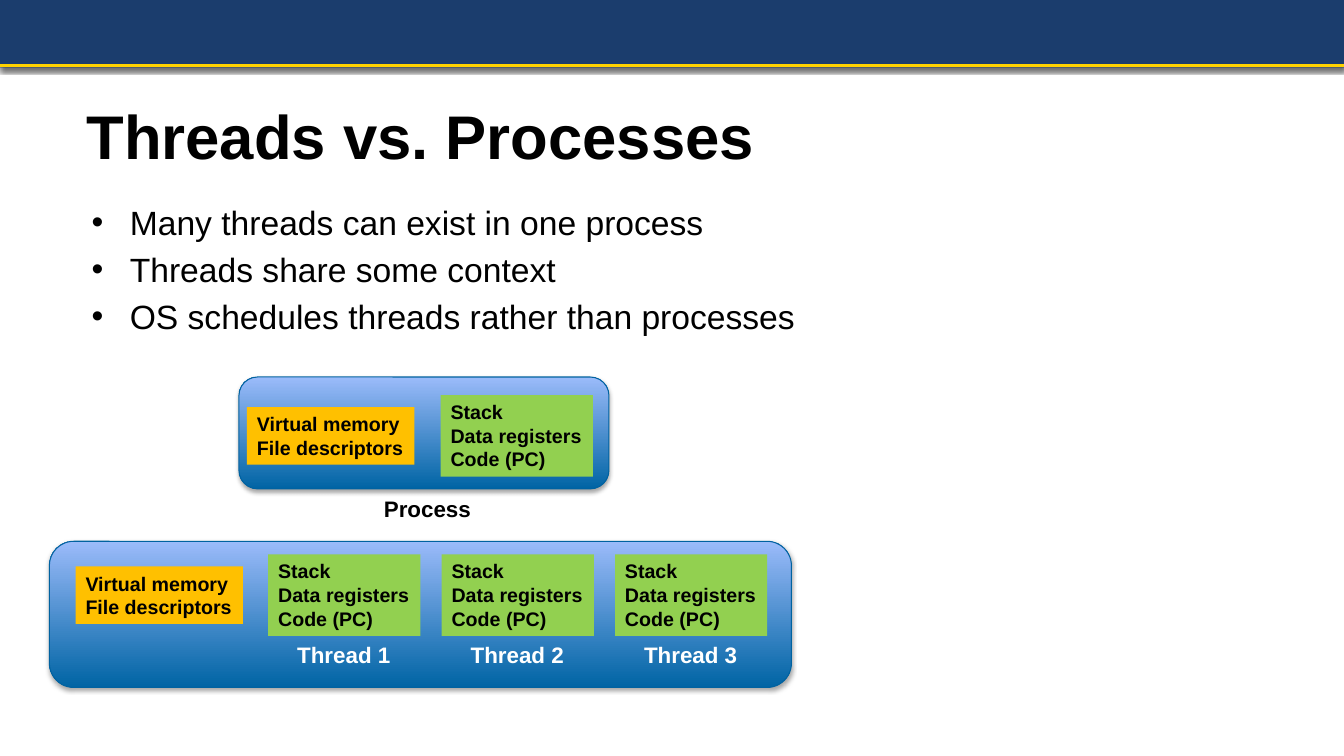
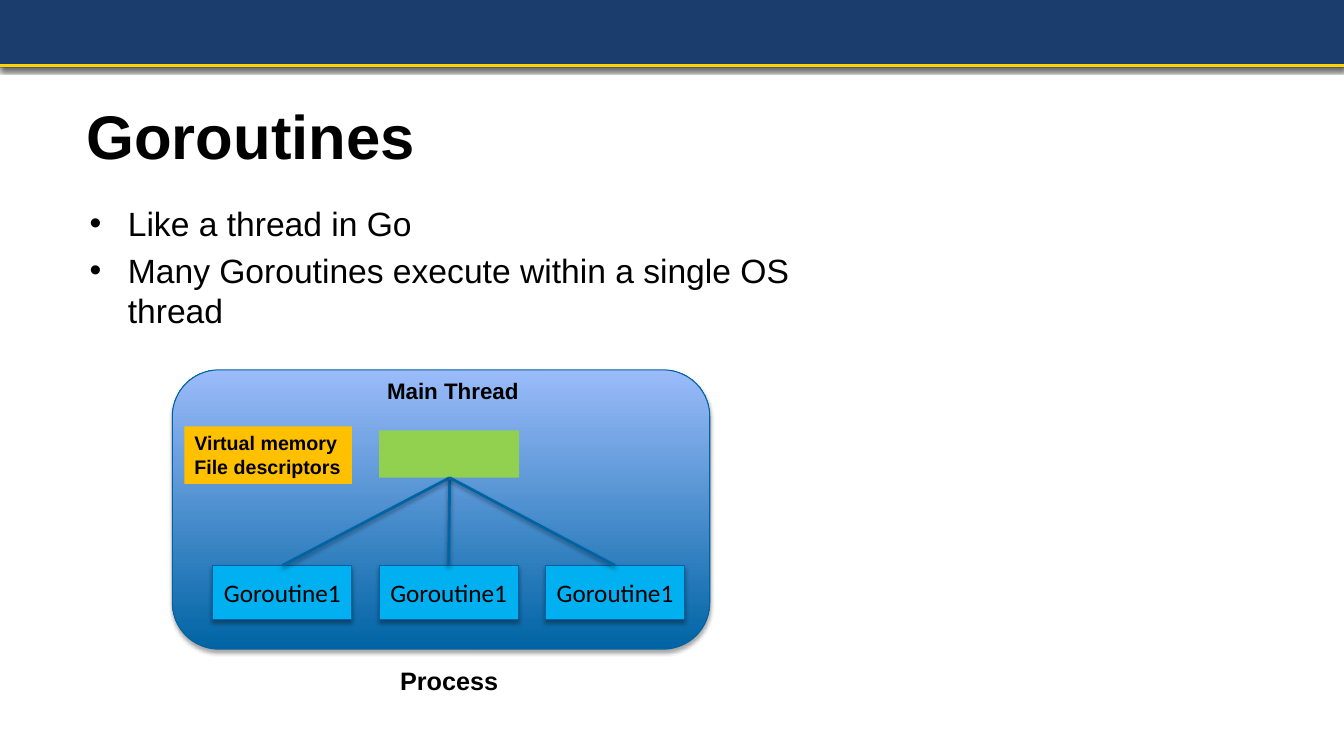
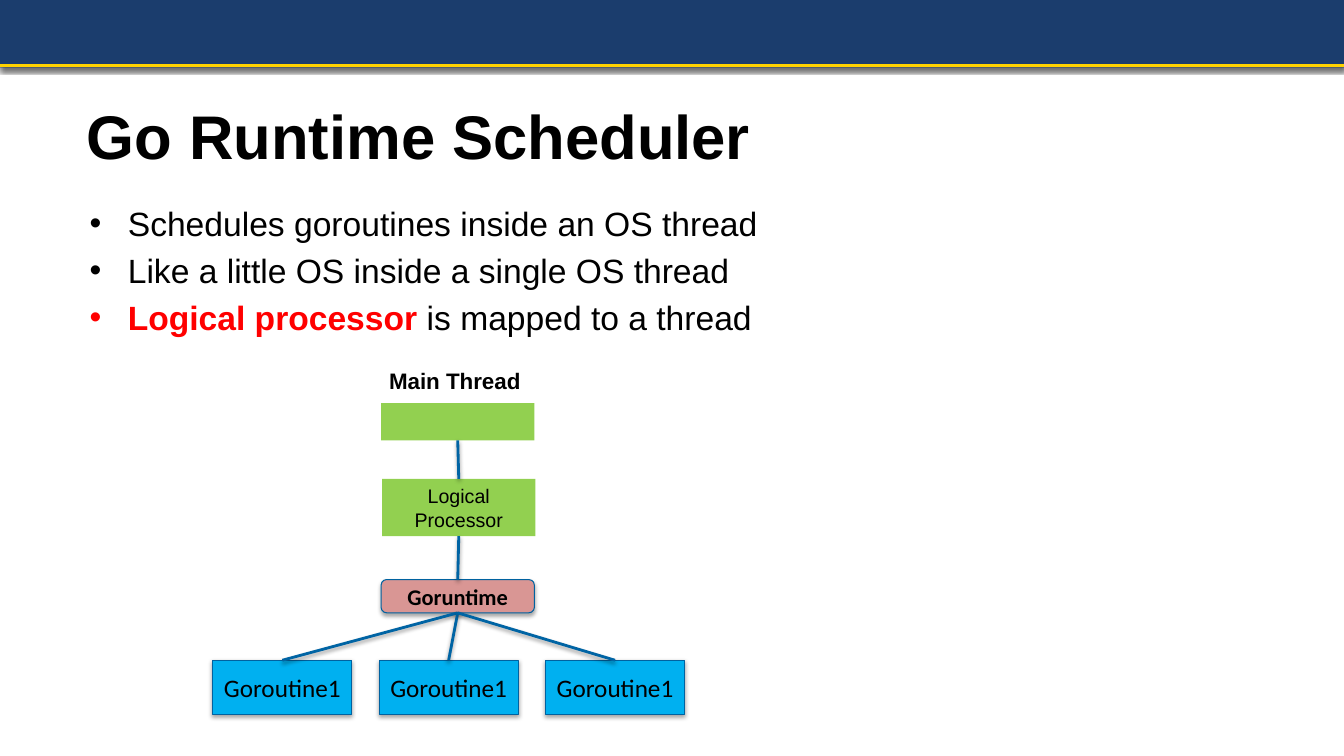
from collections import namedtuple

from lxml.etree import SubElement
from pptx import Presentation
from pptx.dml.color import RGBColor
from pptx.enum.shapes import MSO_CONNECTOR, MSO_SHAPE
from pptx.enum.text import MSO_ANCHOR, PP_ALIGN
from pptx.oxml.ns import qn
from pptx.util import Inches, Pt

# Colours
BLACK = RGBColor(0x00, 0x00, 0x00)
WHITE = RGBColor(0xFF, 0xFF, 0xFF)
RED = RGBColor(0xFF, 0x00, 0x00)
NAVY = RGBColor(0x1B, 0x3D, 0x6D)
GOLD = RGBColor(0xFF, 0xD2, 0x00)
LIGHT_BLUE = RGBColor(0x9B, 0xBB, 0xFA)
DEEP_BLUE = RGBColor(0x00, 0x64, 0xA4)
OUTLINE = RGBColor(0x00, 0x62, 0xA0)
CYAN = RGBColor(0x00, 0xB0, 0xF0)
AMBER = RGBColor(0xFF, 0xC0, 0x00)
GREEN = RGBColor(0x92, 0xD0, 0x50)
PINK = RGBColor(0xD9, 0x96, 0x94)

# Text styles
Style = namedtuple("Style", "size font bold color", defaults=("Arial", False, BLACK))
TITLE = Style(44, bold=True)
BODY = Style(24)
EMPHASIS = Style(24, bold=True, color=RED)
CONTEXT = Style(14, bold=True)
PROCESSOR = Style(14)
LABEL = Style(16, bold=True)
LARGE_LABEL = Style(18, bold=True)
THREAD_LABEL = Style(16, bold=True, color=WHITE)
GOROUTINE = Style(18, "Calibri")
RUNTIME = Style(16, "Calibri", True)

SHARED_CONTEXT = ["Virtual memory", "File descriptors"]
THREAD_CONTEXT = ["Stack", "Data registers", "Code (PC)"]
SLIDE_WIDTH = 13.33


# Text and effects
def add_run(paragraph, text, style):
    run = paragraph.add_run()
    run.text = text
    run.font.size = Pt(style.size)
    run.font.name = style.font
    run.font.bold = style.bold
    run.font.color.rgb = style.color


def write_lines(frame, lines, style, align=PP_ALIGN.LEFT):
    for index, line in enumerate(lines):
        paragraph = frame.paragraphs[0] if index == 0 else frame.add_paragraph()
        paragraph.alignment = align
        add_run(paragraph, line, style)


def add_shadow(properties, opacity, distance):
    effects = properties.find(qn("a:effectLst"))
    if effects is None:
        effects = SubElement(properties, qn("a:effectLst"))
    shadow = SubElement(effects, qn("a:outerShdw"), blurRad=str(Pt(3.1)),
                        dist=str(Pt(distance)), dir="5400000", rotWithShape="0")
    color = SubElement(shadow, qn("a:srgbClr"), val="000000")
    SubElement(color, qn("a:alpha"), val=str(opacity * 1000))


# Elements
def add_label(slide, left, top, width, height, text, style):
    box = slide.shapes.add_textbox(Inches(left), Inches(top), Inches(width), Inches(height))
    box.text_frame.word_wrap = False
    write_lines(box.text_frame, [text], style)
    return box


def add_box(slide, left, top, width, height, fill=None, kind=MSO_SHAPE.RECTANGLE,
            outlined=False):
    shape = slide.shapes.add_shape(kind, Inches(left), Inches(top),
                                   Inches(width), Inches(height))
    shape.shadow.inherit = False
    if fill is not None:
        shape.fill.solid()
        shape.fill.fore_color.rgb = fill
    if outlined:
        shape.line.color.rgb = OUTLINE
        shape.line.width = Pt(0.75)
        add_shadow(shape._element.spPr, 35, 1.8)
    else:
        shape.line.fill.background()
    return shape


def add_process(slide, left, top, width, height):
    shape = add_box(slide, left, top, width, height,
                    kind=MSO_SHAPE.ROUNDED_RECTANGLE, outlined=True)
    shape.fill.gradient()
    shape.fill.gradient_angle = 90
    for stop, color in zip(shape.fill.gradient_stops, (DEEP_BLUE, LIGHT_BLUE)):
        stop.color.rgb = color


def add_context(slide, left, top, width, height, fill, lines):
    frame = add_box(slide, left, top, width, height, fill).text_frame
    frame.word_wrap = False
    frame.vertical_anchor = MSO_ANCHOR.TOP
    write_lines(frame, lines, CONTEXT)


def add_shared_context(slide, left, top):
    add_context(slide, left, top, 1.66, 0.57, AMBER, SHARED_CONTEXT)


def add_thread_context(slide, left, top):
    add_context(slide, left, top, 1.51, 0.81, GREEN, THREAD_CONTEXT)


def add_centered(shape, text, style):
    shape.text_frame.word_wrap = True
    shape.text_frame.vertical_anchor = MSO_ANCHOR.MIDDLE
    write_lines(shape.text_frame, [text], style, PP_ALIGN.CENTER)


def add_line(slide, start, end, color=DEEP_BLUE, width=2, shadowed=True):
    line = slide.shapes.add_connector(MSO_CONNECTOR.STRAIGHT,
                                      *[Inches(value) for value in (*start, *end)])
    line.line.color.rgb = color
    line.line.width = Pt(width)
    if shadowed:
        add_shadow(line._element.spPr, 38, 1.6)
    else:
        SubElement(line._element.spPr, qn("a:effectLst"))


def add_goroutines(slide, top, parent):
    lefts = [2.11 + 1.65 * index for index in range(3)]
    for left in lefts:
        box = add_box(slide, left, top, 1.38, 0.54, CYAN, outlined=True)
        add_centered(box, "Goroutine1", GOROUTINE)
    for left in lefts:
        add_line(slide, parent, (left + 0.69, top))


def add_bullets(slide, left, top, width, height, items):
    box = slide.shapes.add_textbox(Inches(left), Inches(top), Inches(width), Inches(height))
    frame = box.text_frame
    frame.word_wrap = True
    for index, runs in enumerate(items):
        paragraph = frame.paragraphs[0] if index == 0 else frame.add_paragraph()
        paragraph.space_before = Pt(5)
        properties = paragraph._p.get_or_add_pPr()
        properties.set("marL", str(Inches(0.38)))
        properties.set("indent", str(-Inches(0.38)))
        SubElement(properties, qn("a:buFont"), typeface="Arial")
        SubElement(properties, qn("a:buChar"), char="•")
        for text, style in runs:
            add_run(paragraph, text, style)


# Shared slide frame: band, rule and title
def add_titled_slide(presentation, title, title_width):
    slide = presentation.slides.add_slide(presentation.slide_layouts[6])
    band = add_box(slide, 0, 0, SLIDE_WIDTH, 0.67, NAVY)
    add_shadow(band._element.spPr, 58, 1.8)
    add_line(slide, (0, 0.65), (SLIDE_WIDTH, 0.65), GOLD, 2.25, shadowed=False)
    heading = add_label(slide, 0.76, 0.92, title_width, 0.84, title, TITLE)
    heading.text_frame.vertical_anchor = MSO_ANCHOR.MIDDLE
    return slide


# Slides
def build_threads(presentation):
    slide = add_titled_slide(presentation, "Threads vs. Processes", 6.9)
    add_bullets(slide, 0.81, 1.95, 7.36, 1.47, [
        [("Many threads can exist in one process", BODY)],
        [("Threads share some context", BODY)],
        [("OS schedules threads rather than processes", BODY)],
    ])
    # Process with a single thread
    add_process(slide, 2.37, 3.74, 3.67, 1.11)
    add_shared_context(slide, 2.45, 4.04)
    add_thread_context(slide, 4.37, 3.92)
    add_label(slide, 3.71, 4.86, 1.07, 0.37, "Process", LABEL)
    # Process with three threads
    add_process(slide, 0.49, 5.37, 7.36, 1.45)
    add_shared_context(slide, 0.75, 5.62)
    for index in range(3):
        left = 2.66 + 1.72 * index
        add_thread_context(slide, left, 5.5)
        add_label(slide, left + 0.19, 6.31, 1.14, 0.37, f"Thread {index + 1}", THREAD_LABEL)


def build_goroutines(presentation):
    slide = add_titled_slide(presentation, "Goroutines", 3.49)
    add_bullets(slide, 0.79, 1.96, 7.17, 1.39, [
        [("Like a thread in Go", BODY)],
        [("Many Goroutines execute within a single OS thread", BODY)],
    ])
    add_process(slide, 1.71, 3.67, 5.33, 2.77)
    add_shared_context(slide, 1.83, 4.23)
    add_box(slide, 3.76, 4.27, 1.39, 0.47, GREEN)
    add_label(slide, 3.74, 3.69, 1.52, 0.37, "Main Thread", LABEL)
    add_goroutines(slide, 5.61, (4.46, 4.74))
    add_label(slide, 3.87, 6.55, 1.18, 0.4, "Process", LARGE_LABEL)


def build_scheduler(presentation):
    slide = add_titled_slide(presentation, "Go Runtime Scheduler", 6.86)
    add_bullets(slide, 0.79, 1.96, 7.17, 1.47, [
        [("Schedules goroutines inside an OS thread", BODY)],
        [("Like a little OS inside a single OS thread", BODY)],
        [("Logical processor ", EMPHASIS), ("is mapped to a thread", BODY)],
    ])
    # Chain from the main thread down to the goroutines
    add_box(slide, 3.78, 4, 1.52, 0.37, GREEN)
    add_label(slide, 3.76, 3.59, 1.52, 0.37, "Main Thread", LABEL)
    runtime = add_box(slide, 3.78, 5.75, 1.52, 0.33, PINK,
                      MSO_SHAPE.ROUNDED_RECTANGLE, outlined=True)
    add_centered(runtime, "Goruntime", RUNTIME)
    processor = add_box(slide, 3.79, 4.75, 1.52, 0.57, GREEN)
    add_centered(processor, "Logical Processor", PROCESSOR)
    add_goroutines(slide, 6.55, (4.54, 6.08))
    add_line(slide, (4.55, 5.32), (4.54, 5.75))
    add_line(slide, (4.54, 4.37), (4.55, 4.75))


def main():
    presentation = Presentation()
    presentation.slide_width = Inches(SLIDE_WIDTH)
    presentation.slide_height = Inches(7.5)
    build_threads(presentation)
    build_goroutines(presentation)
    build_scheduler(presentation)
    presentation.save("out.pptx")


main()
